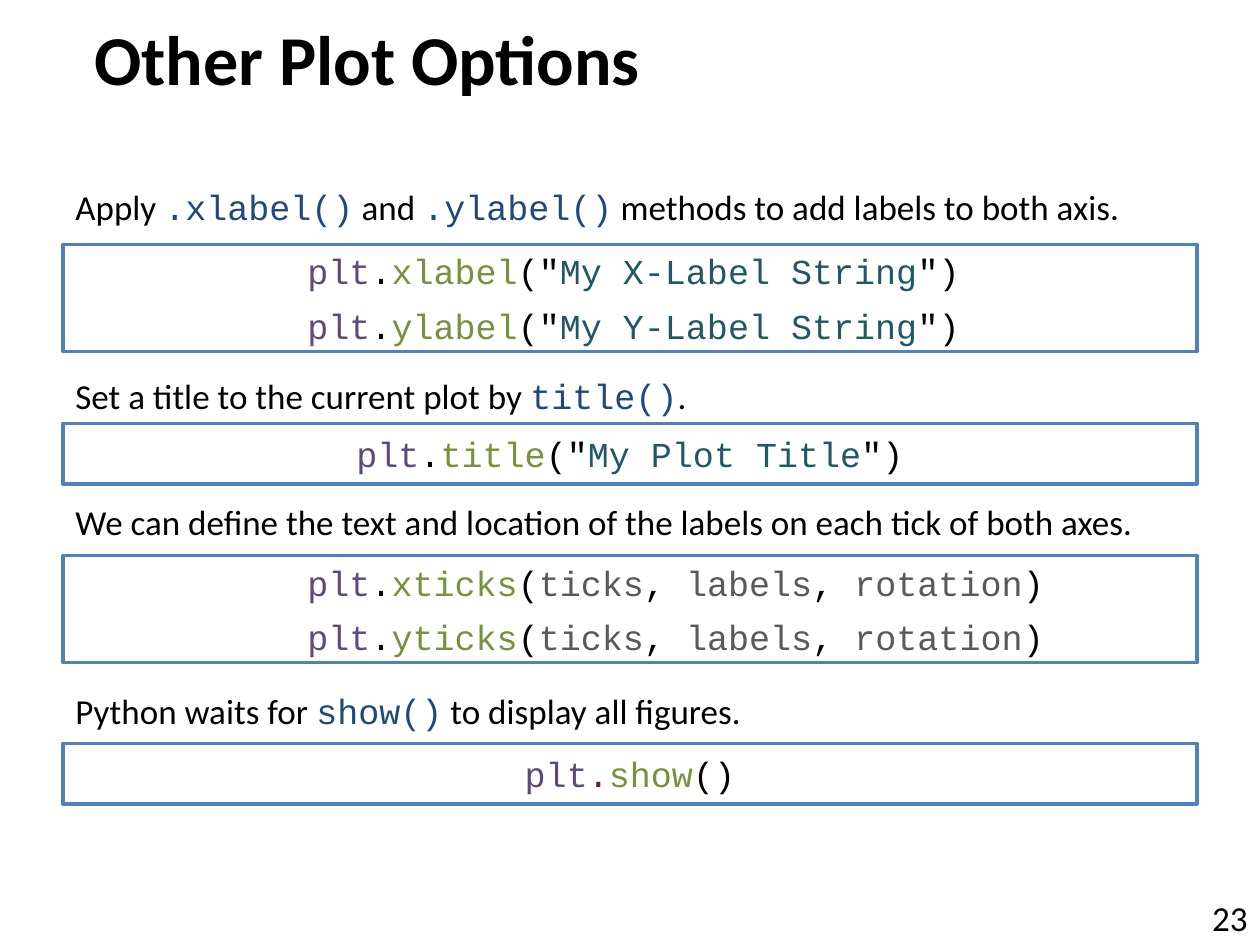
from pptx import Presentation
from pptx import util as u
from pptx.dml.color import RGBColor
from pptx.enum import shapes, text

COLORS = {
    "black": "000000", "white": "FFFFFF", "border": "4F81BD",
    "method": "1F497D", "module": "5F497A", "function": "76923C",
    "string": "215868", "argument": "595959", "dot": "632423",
}
BODY_FONT, CODE_FONT = "Calibri", "Courier New"


class PlotOptionsSlide:
    """Holds the style and the slide that is being filled."""

    def __init__(self, presentation):
        self.slide = presentation.slides.add_slide(presentation.slide_layouts[6])

    def add_run(self, paragraph, content, color="black", font=BODY_FONT, size=20, bold=False):
        run = paragraph.add_run()
        run.text = content
        run.font.name = font
        run.font.size = u.Pt(size)
        run.font.bold = bold
        run.font.color.rgb = RGBColor.from_string(COLORS[color])

    def add_text(self, box, runs, anchor=text.MSO_ANCHOR.TOP, align=text.PP_ALIGN.LEFT, **style):
        shape = self.slide.shapes.add_textbox(*map(u.Inches, box))
        frame = shape.text_frame
        frame.word_wrap = True
        frame.vertical_anchor = anchor
        paragraph = frame.paragraphs[0]
        paragraph.alignment = align
        for content, color in runs:
            font = CODE_FONT if color == "method" else BODY_FONT
            self.add_run(paragraph, content, color, font, **style)

    def add_code(self, top, lines):
        height = 0.85 if len(lines) > 1 else 0.48
        shape = self.slide.shapes.add_shape(
            shapes.MSO_SHAPE.RECTANGLE, u.Inches(0.5), u.Inches(top), u.Inches(9), u.Inches(height))
        shape.shadow.inherit = False
        shape.fill.solid()
        shape.fill.fore_color.rgb = RGBColor.from_string(COLORS["white"])
        shape.line.color.rgb = RGBColor.from_string(COLORS["border"])
        shape.line.width = u.Pt(2)
        frame = shape.text_frame
        frame.word_wrap = True
        frame.vertical_anchor = text.MSO_ANCHOR.MIDDLE
        frame.margin_left = frame.margin_right = u.Inches(0.08)
        frame.margin_top = frame.margin_bottom = u.Inches(0.04)
        for index, runs in enumerate(lines):
            paragraph = frame.add_paragraph() if index else frame.paragraphs[0]
            if len(lines) > 1:
                paragraph.alignment = text.PP_ALIGN.LEFT
                paragraph._p.get_or_add_pPr().set("marL", str(u.Inches(1.86)))
                paragraph.space_before = u.Pt(7 if index else 0)
            else:
                paragraph.alignment = text.PP_ALIGN.CENTER
            for content, color in runs:
                self.add_run(paragraph, content, color, CODE_FONT)


def call(function, arguments, dot="black"):
    return [("plt", "module"), (".", dot), (function, "function"), *arguments]


def quoted(label):
    return [('("', "black"), (label, "string"), ('")', "black")]


def main():
    presentation = Presentation()
    presentation.slide_width = u.Inches(10)
    presentation.slide_height = u.Inches(7.5)
    page = PlotOptionsSlide(presentation)

    page.add_text((8.63, 6.96, 1.37, 0.54), [("23", "black")],
                  text.MSO_ANCHOR.BOTTOM, text.PP_ALIGN.RIGHT)
    page.add_text((0.65, 0, 9.35, 0.92), [("Other Plot Options", "black")],
                  text.MSO_ANCHOR.MIDDLE, size=40, bold=True)

    tick_arguments = [("(", "black"), ("ticks", "argument"), (", ", "black"), ("labels", "argument"),
                      (", ", "black"), ("rotation", "argument"), (")", "black")]
    sections = [
        (1.42, [("Apply ", "black"), (".xlabel()", "method"), (" and ", "black"), (".ylabel()", "method"),
                (" methods to add labels to both axis.", "black")],
         1.94, [call(f"{axis}label", quoted(f"My {axis.upper()}-Label String")) for axis in "xy"]),
        (2.92, [("Set a title to the current plot by ", "black"), ("title()", "method"), (".", "black")],
         3.36, [call("title", quoted("My Plot Title"))]),
        (3.92, [("We can define the text and location of the labels on each tick of both axes.", "black")],
         4.41, [call(f"{axis}ticks", tick_arguments) for axis in "xy"]),
        (5.42, [("Python waits for ", "black"), ("show()", "method"), (" to display all figures.", "black")],
         5.9, [call("show", [("()", "black")], "dot")]),
    ]
    for text_top, sentence, code_top, lines in sections:
        page.add_text((0.5, text_top, 9, 0.45), sentence)
        page.add_code(code_top, lines)

    presentation.save("out.pptx")


if __name__ == "__main__":
    main()
